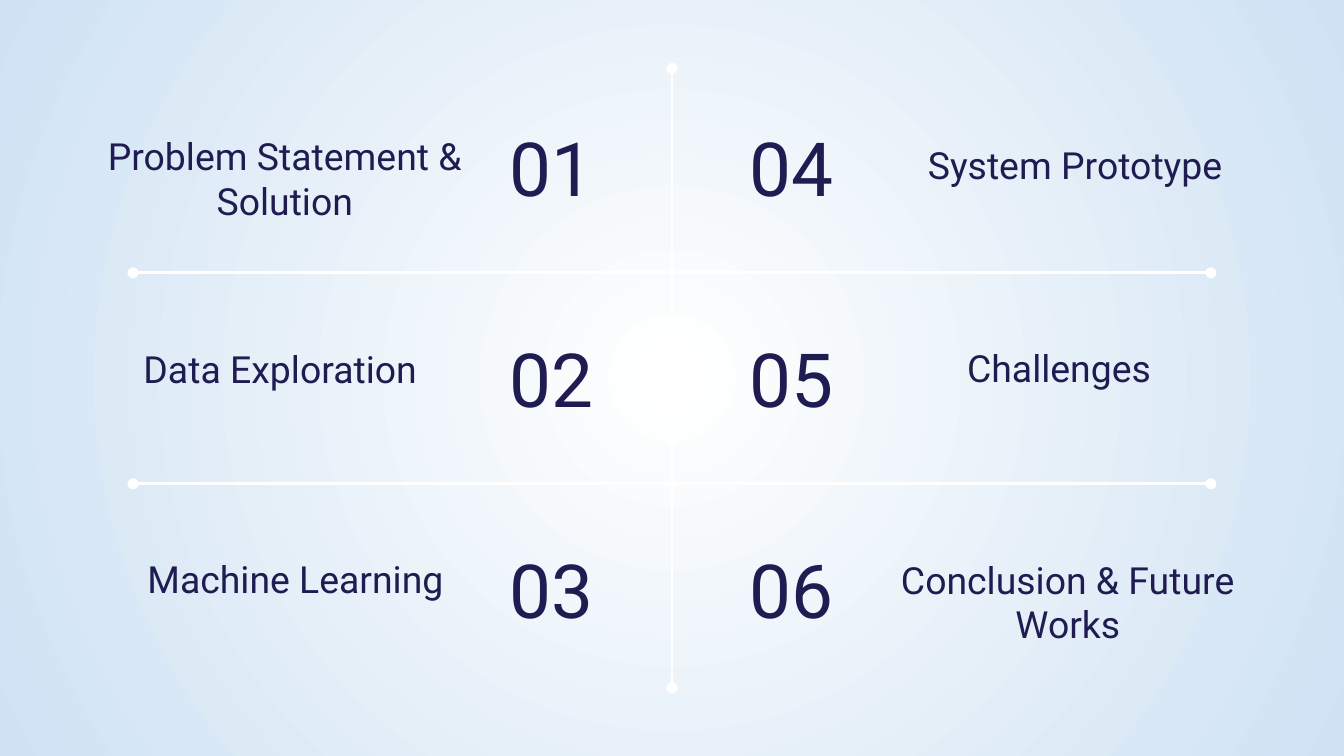
"""Build a six-topic agenda slide with numbers around a white grid."""
from lxml import etree
from pptx import Presentation
from pptx import util as u
from pptx.dml.color import RGBColor
from pptx.enum import shapes, text
from pptx.oxml.ns import qn

COLORS = {"ink": "1F1C51", "grid": "FFFFFF", "center": "FFFFFF", "edge": "CFE2F3"}
FONT = "Roboto"
SLIDE_WIDTH = 10
SLIDE_HEIGHT = SLIDE_WIDTH * 9 / 16
TOPICS = [
    ("Problem Statement & Solution", (0.63, 1.26, 2.98, 0.5)),
    ("Data Exploration ", (0.63, 2.51, 2.98, 0.5)),
    ("Machine Learning", (0.71, 4.07, 2.98, 0.5)),
    ("System Prototype", (6.51, 0.99, 2.98, 0.5)),
    ("Challenges", (6.39, 2.5, 2.98, 0.5)),
    ("Conclusion & Future Works", (6.39, 4.41, 3.11, 0.5)),
]
GRID_LINES = [(5, 0.51, 5, 5.12), (0.99, 2.03, 9.01, 2.03), (0.99, 3.6, 9.01, 3.6)]
ROWS = 3
ROW_PITCH = 1.57
NUMBER_TOP, NUMBER_SIZE = 0.81, (1.3, 0.86)
NUMBER_COLUMNS = [(3.69, text.PP_ALIGN.LEFT), (5, text.PP_ALIGN.RIGHT)]


def color(name):
    return RGBColor.from_string(COLORS[name])


def paint_background(slide):
    fill = slide.background.fill
    fill.gradient()
    for stop, name in zip(fill.gradient_stops, ("center", "edge")):
        stop.color.rgb = color(name)
    gradient = next(slide.element.iter(qn("a:gradFill")))
    gradient.remove(gradient.find(qn("a:lin")))
    circle = etree.SubElement(gradient, qn("a:path"), {"path": "circle"})
    sides = {side: "50000" for side in "ltrb"}
    etree.SubElement(circle, qn("a:fillToRect"), sides)


def add_label(slide, words, box, size, align, anchor):
    shape = slide.shapes.add_textbox(*map(u.Inches, box))
    frame_format = {"word_wrap": True, "vertical_anchor": anchor}
    for side in ("left", "top", "right", "bottom"):
        frame_format[f"margin_{side}"] = u.Inches(0.1)
    for name, value in frame_format.items():
        setattr(shape.text_frame, name, value)
    paragraph = shape.text_frame.paragraphs[0]
    paragraph.alignment = align
    run = paragraph.add_run()
    run.text = words
    for name, value in {"name": FONT, "size": u.Pt(size)}.items():
        setattr(run.font, name, value)
    run.font.color.rgb = color("ink")


def add_grid_line(slide, ends):
    connector = slide.shapes.add_connector(
        shapes.MSO_CONNECTOR.STRAIGHT, *map(u.Inches, ends))
    connector.line.width = u.Pt(1.5)
    connector.line.color.rgb = color("grid")
    line = connector.line._get_or_add_ln()
    for end in ("a:headEnd", "a:tailEnd"):
        etree.SubElement(line, qn(end), {"type": "oval", "w": "med", "len": "med"})
    etree.SubElement(connector.element.spPr, qn("a:effectLst"))


def main():
    presentation = Presentation()
    presentation.slide_width = u.Inches(SLIDE_WIDTH)
    presentation.slide_height = u.Inches(SLIDE_HEIGHT)
    slide = presentation.slides.add_slide(presentation.slide_layouts[6])
    paint_background(slide)
    for ends in GRID_LINES:
        add_grid_line(slide, ends)
    for index, (topic, box) in enumerate(TOPICS):
        column, row = divmod(index, ROWS)
        left, align = NUMBER_COLUMNS[column]
        number_box = (left, NUMBER_TOP + row * ROW_PITCH, *NUMBER_SIZE)
        add_label(slide, f"{index + 1:02}", number_box, 40, align,
                  text.MSO_ANCHOR.MIDDLE)
        add_label(slide, topic, box, 20, text.PP_ALIGN.CENTER,
                  text.MSO_ANCHOR.BOTTOM)
    presentation.save("out.pptx")


if __name__ == "__main__":
    main()
